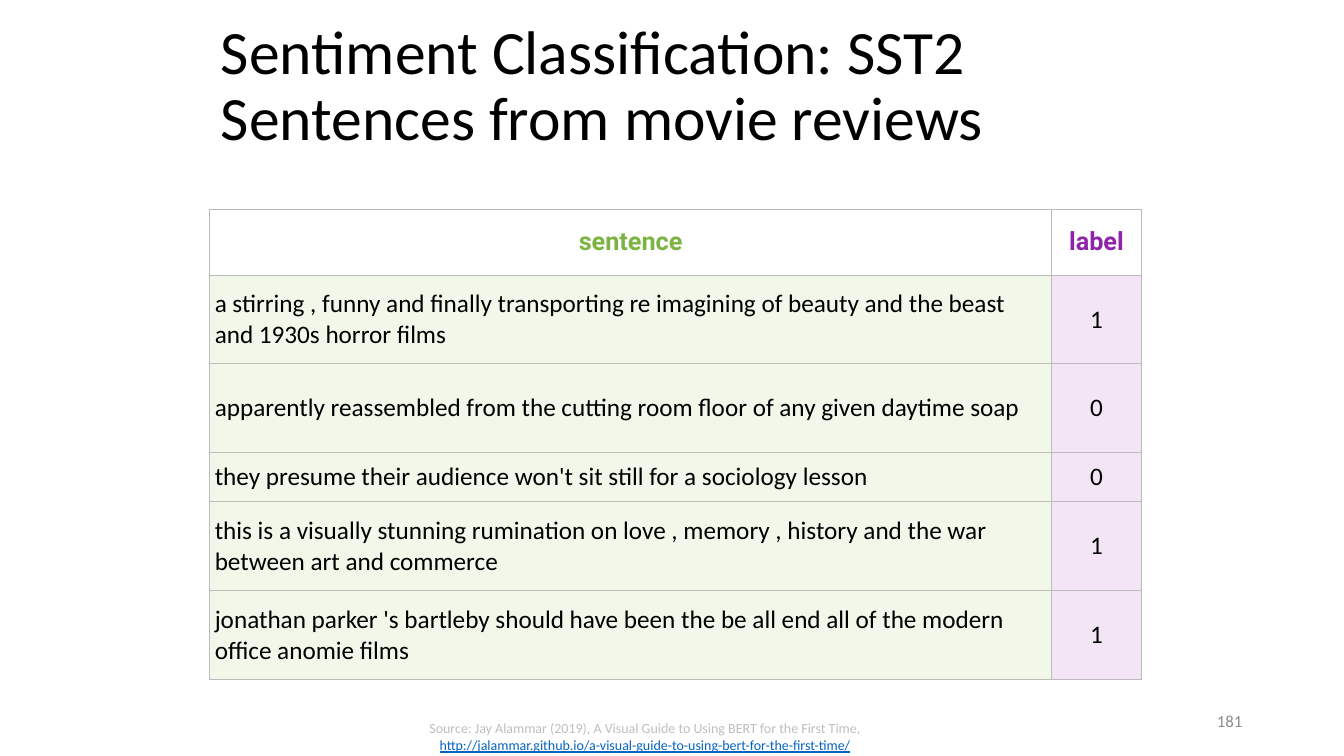
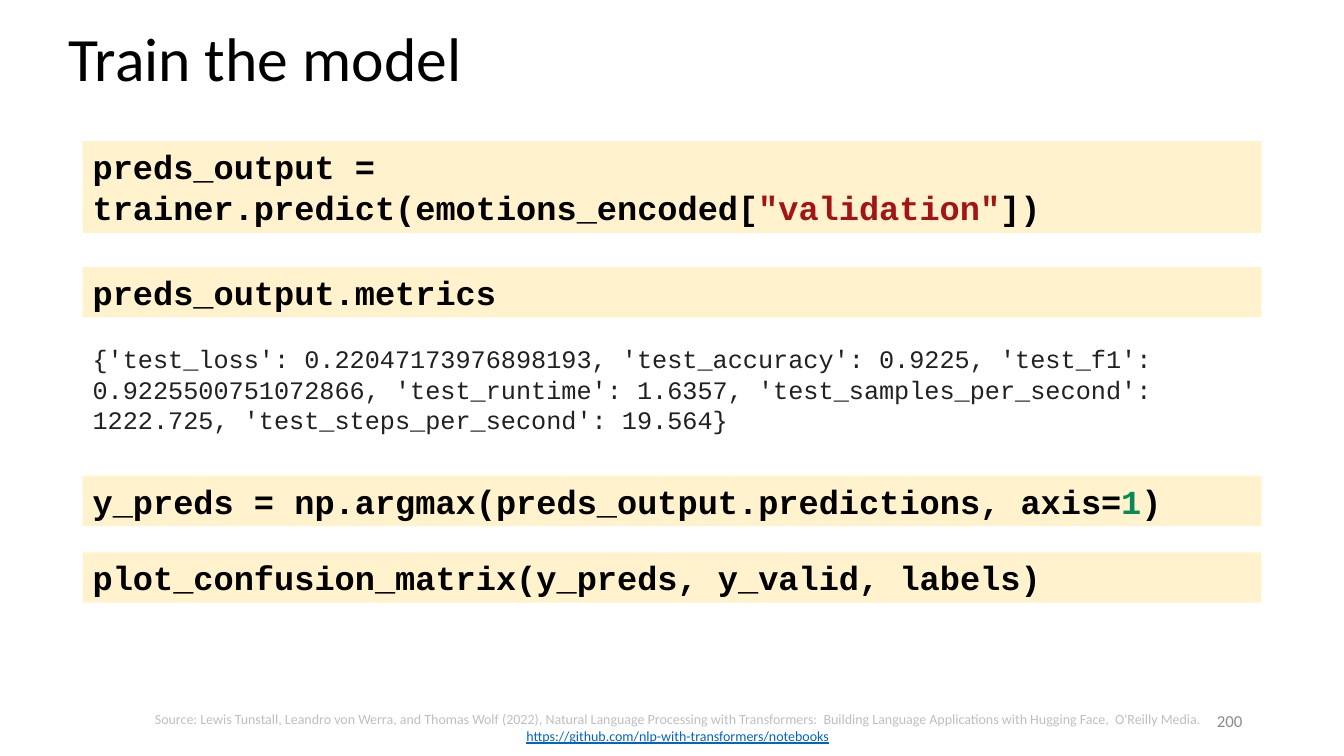
"""Build two slides on sentiment data and model training."""
from typing import NamedTuple

from lxml.etree import SubElement
from pptx import Presentation
from pptx.dml.color import RGBColor
from pptx.enum.shapes import MSO_SHAPE
from pptx.enum.text import MSO_ANCHOR, MSO_AUTO_SIZE, PP_ALIGN
from pptx.oxml.ns import qn
from pptx.util import Inches, Pt

HUES = {
    "ink": "000000", "page": "8C8C8C", "note": "BFBFBF", "link": "0563C1",
    "white": "FFFFFF", "edge": "BBBBBB", "green": "7CB342", "purple": "8E24AA",
    "mint": "F1F8E9", "lilac": "F3E5F5", "sand": "FFF2CC", "out": "212121",
    "string": "A31515", "digit": "09885A",
}
SANS, MONO, HEAD = "Calibri", "Courier New", "Roboto"


class Box(NamedTuple):
    left: float
    top: float
    width: float
    height: float


class Token(NamedTuple):
    text: str
    hue: str = "ink"


class Code(NamedTuple):
    top: float
    height: float
    tokens: list[Token]


class Row(NamedTuple):
    height: float
    text: str
    label: str


CODES = [
    Code(1.4, 0.91, [Token("preds_output = trainer.predict(emotions_encoded["),
                     Token('"validation"', "string"), Token("])")]),
    Code(2.65, 0.5, [Token("preds_output.metrics")]),
    Code(4.72, 0.5, [Token("y_preds = np.argmax(preds_output.predictions, axis="),
                     Token("1", "digit"), Token(")")]),
    Code(5.48, 0.5, [Token("plot_confusion_matrix(y_preds, y_valid, labels)")]),
]
RESULT = (
    "{'test_loss': 0.22047173976898193, 'test_accuracy': 0.9225, "
    "'test_f1': 0.9225500751072866, 'test_runtime': 1.6357, "
    "'test_samples_per_second': 1222.725, 'test_steps_per_second': 19.564}"
)
ROWS = [
    Row(0.65, "sentence", "label"),
    Row(0.88, "a stirring , funny and finally transporting re imagining of beauty "
        "and the beast and 1930s horror films", "1"),
    Row(0.88, "apparently reassembled from the cutting room floor of any given "
        "daytime soap", "0"),
    Row(0.49, "they presume their audience won't sit still for a sociology lesson", "0"),
    Row(0.88, "this is a visually stunning rumination on love , memory , history "
        "and the war between art and commerce", "1"),
    Row(0.88, "jonathan parker 's bartleby should have been the be all end all of "
        "the modern office anomie films", "1"),
]


def tint(name: str) -> RGBColor:
    return RGBColor.from_string(HUES[name])


def place(box: Box) -> list:
    return [Inches(side) for side in box]


def write(para, text: str, *, size: float, font: str = SANS, hue: str = "ink",
          bold: bool = False, under: bool = False, align=PP_ALIGN.LEFT) -> None:
    para.alignment = align
    for num, line in enumerate(text.split("\n")):
        if num:
            para.add_line_break()
        run = para.add_run()
        run.text = line
        run.font.size, run.font.name = Pt(size), font
        run.font.bold, run.font.underline = bold, under
        run.font.color.rgb = tint(hue)


def add_text(slide, box: Box, grow: bool = True):
    frame = slide.shapes.add_textbox(*place(box)).text_frame
    frame.word_wrap = True
    if grow:
        frame.auto_size = MSO_AUTO_SIZE.SHAPE_TO_FIT_TEXT
    else:
        frame.vertical_anchor = MSO_ANCHOR.MIDDLE
    return frame


def add_slide(deck, title: str, head: Box, page: str, source: str, link: str, foot: Box):
    slide = deck.slides.add_slide(deck.slide_layouts[5])
    shape = slide.shapes.title
    shape.left, shape.top, shape.width, shape.height = place(head)
    frame = shape.text_frame
    frame.word_wrap, frame.auto_size = True, MSO_AUTO_SIZE.NONE
    frame.vertical_anchor = MSO_ANCHOR.MIDDLE
    para = frame.paragraphs[0]
    para.line_spacing = 0.9
    write(para, title, size=44)

    number = add_text(slide, Box(9.42, 6.95, 3, 0.4), grow=False)
    write(number.paragraphs[0], page, size=12, hue="page", align=PP_ALIGN.RIGHT)

    note = add_text(slide, foot)
    write(note.paragraphs[0], source, size=10, hue="note", align=PP_ALIGN.CENTER)
    write(note.add_paragraph(), link, size=10, hue="link", under=True,
          align=PP_ALIGN.CENTER)
    return slide


def add_edge(cell) -> None:
    props = cell._tc.get_or_add_tcPr()
    for side in "LRTB":
        line = SubElement(props, qn(f"a:ln{side}"), w=str(Pt(0.75)))
        fill = SubElement(line, qn("a:solidFill"))
        SubElement(fill, qn("a:srgbClr"), val=HUES["edge"])


def fill_cell(cell, text: str, fill: str, pad: tuple[float, float], **style) -> None:
    add_edge(cell)
    cell.fill.solid()
    cell.fill.fore_color.rgb = tint(fill)
    cell.vertical_anchor = MSO_ANCHOR.MIDDLE
    cell.margin_left = cell.margin_right = Inches(pad[0])
    cell.margin_top = cell.margin_bottom = Inches(pad[1])
    write(cell.text_frame.paragraphs[0], text, size=18, **style)


def add_grid(slide) -> None:
    box = Box(2.08, 2.08, 9.24, sum(row.height for row in ROWS))
    grid = slide.shapes.add_table(len(ROWS), 2, *place(box)).table
    grid.first_row = grid.horz_banding = False
    for col, width in zip(grid.columns, (8.35, 0.89)):
        col.width = Inches(width)
    mid = PP_ALIGN.CENTER
    for num, row in enumerate(ROWS):
        grid.rows[num].height = Inches(row.height)
        left, right = grid.cell(num, 0), grid.cell(num, 1)
        if num == 0:
            for cell, text, hue in ((left, row.text, "green"), (right, row.label, "purple")):
                fill_cell(cell, text, "white", (0.1, 0.1), font=HEAD, hue=hue,
                          bold=True, align=mid)
        else:
            fill_cell(left, row.text, "mint", (0.05, 0.04))
            fill_cell(right, row.label, "lilac", (0.05, 0.04), align=mid)


def add_code(slide, code: Code) -> None:
    box = Box(0.82, code.top, 11.69, code.height)
    shape = slide.shapes.add_shape(MSO_SHAPE.RECTANGLE, *place(box))
    shape.shadow.inherit = False
    shape.fill.solid()
    shape.fill.fore_color.rgb = tint("sand")
    shape.line.fill.background()
    frame = shape.text_frame
    frame.word_wrap, frame.auto_size = True, MSO_AUTO_SIZE.SHAPE_TO_FIT_TEXT
    frame.vertical_anchor = MSO_ANCHOR.TOP
    for token in code.tokens:
        write(frame.paragraphs[0], token.text, size=24, font=MONO, hue=token.hue, bold=True)


def main() -> None:
    deck = Presentation()
    deck.slide_width, deck.slide_height = Inches(13.33), Inches(7.5)

    data = add_slide(
        deck, "Sentiment Classification: SST2\nSentences from movie reviews",
        Box(2.09, 0.1, 9.1, 1.54), "181",
        "Source: Jay Alammar (2019), A Visual Guide to Using BERT for the First Time,",
        "http://jalammar.github.io/a-visual-guide-to-using-bert-for-the-first-time/",
        Box(2.89, 7.09, 7.01, 0.44))
    add_grid(data)

    train = add_slide(
        deck, "Train the model", Box(0.58, 0.15, 12.27, 0.92), "200",
        "Source: Lewis Tunstall, Leandro von Werra, and Thomas Wolf (2022), "
        "Natural Language Processing with Transformers:  Building Language "
        "Applications with Hugging Face,  O'Reilly Media.",
        "https://github.com/nlp-with-transformers/notebooks",
        Box(1.17, 7, 11.1, 0.44))
    for code in CODES:
        add_code(train, code)
    result = add_text(train, Box(0.82, 3.36, 11.69, 1.01))
    write(result.paragraphs[0], RESULT, size=18, font=MONO, hue="out")

    deck.save("out.pptx")


if __name__ == "__main__":
    main()
